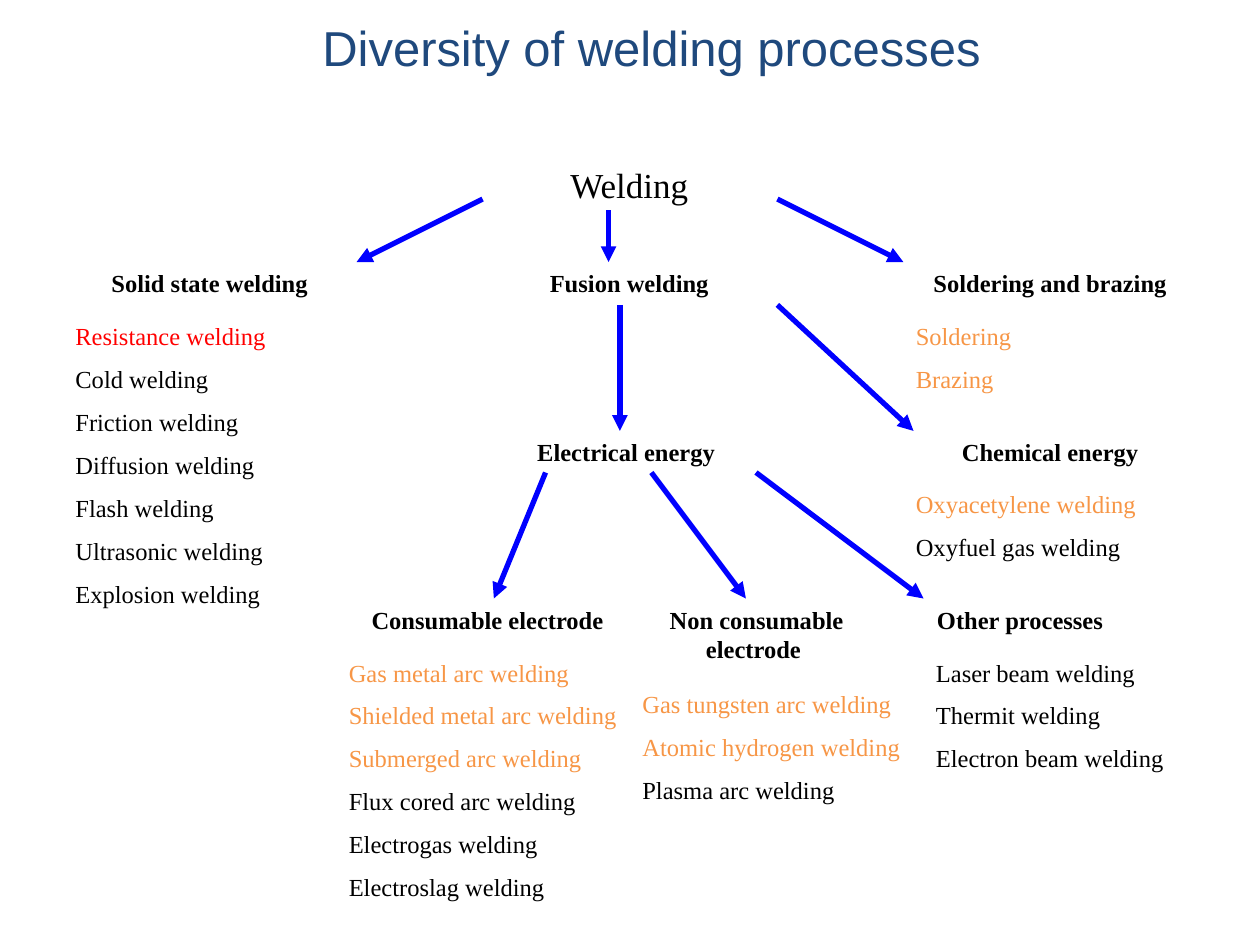
import pptx
import pptx.util
import pptx.dml.color
import pptx.enum.shapes
import pptx.enum.text
from dataclasses import dataclass
from lxml import etree
from pptx.oxml.ns import qn

Inches, Pt = pptx.util.Inches, pptx.util.Pt
RGB = pptx.dml.color.RGBColor
Align = pptx.enum.text.PP_ALIGN
Anchor = pptx.enum.text.MSO_ANCHOR

BLACK = RGB(0, 0, 0)
WHITE = RGB(255, 255, 255)
RED = RGB(255, 0, 0)
ORANGE = RGB(0xF7, 0x96, 0x46)
BLUE = RGB(0, 0, 255)
NAVY = RGB(0x1F, 0x49, 0x7D)
SERIF = "Times New Roman"
GAP = Pt(7.7)


@dataclass
class Head:
    text: str
    left: float
    top: float
    width: float = 2.33
    height: float = 0.34
    size: int = 14
    bold: bool = True


@dataclass
class Group:
    """A list whose first `marked` items take the colour `tint`."""
    left: float
    top: float
    items: list[str]
    marked: int = 0
    tint: RGB = ORANGE
    width: float = 2.33


@dataclass
class Arrow:
    x1: float
    y1: float
    x2: float
    y2: float


HEADS = [
    Head("Welding", 3.83, 1.25, height=0.44, size=20, bold=False),
    Head("Solid state welding", 0.5, 2.08),
    Head("Soldering and brazing", 7.17, 2.08),
    Head("Fusion welding", 3.83, 2.08),
    Head("Electrical energy ", 3.83, 3.42),
    Head("Chemical energy", 7.17, 3.42),
    Head("Other processes ", 7.33, 4.75, 1.58),
    Head("Non consumable electrode ", 5.17, 4.75, 1.67, 0.58),
    Head("Consumable electrode ", 2.83, 4.75, 2.08),
]
GROUPS = [
    Group(0.5, 2.5, ["Resistance welding", "Cold welding", "Friction welding",
                     "Diffusion welding", "Flash welding", "Ultrasonic welding",
                     "Explosion welding"], 1, RED, 1.71),
    Group(2.67, 5.17, ["Gas metal arc welding", "Shielded metal arc welding",
                       "Submerged arc welding", "Flux cored arc welding",
                       "Electrogas welding", "Electroslag welding"], 3),
    Group(5, 5.42, ["Gas tungsten arc welding", "Atomic hydrogen welding",
                    "Plasma arc welding"], 2),
    Group(7.17, 3.83, ["Oxyacetylene welding", "Oxyfuel gas welding"], 1),
    Group(7.33, 5.17, ["Laser beam welding", "Thermit welding",
                       "Electron beam welding"]),
    Group(7.17, 2.5, ["Soldering", "Brazing"], 2),
]
ARROWS = [
    Arrow(4.83, 1.67, 4.83, 2.08),
    Arrow(6.17, 1.58, 7.17, 2.08),
    Arrow(3.83, 1.58, 2.83, 2.08),
    Arrow(6.17, 2.42, 7.25, 3.42),
    Arrow(4.92, 2.42, 4.92, 3.42),
    Arrow(6, 3.75, 7.33, 4.75),
    Arrow(5.17, 3.75, 5.92, 4.75),
    Arrow(4.33, 3.75, 3.92, 4.75),
]


def style(para, color: RGB, size: float = 14, name: str = SERIF,
          bold: bool = False) -> None:
    form = {"size": Pt(size), "name": name, "bold": bold}
    for key, val in form.items():
        setattr(para.font, key, val)
    para.font.color.rgb = color


def add_title(slide, text: str) -> None:
    box = slide.shapes.add_textbox(Inches(0.92), 0, Inches(8.5), Inches(0.75))
    frame = box.text_frame
    frame.word_wrap = True
    frame.vertical_anchor = Anchor.MIDDLE
    para = frame.paragraphs[0]
    para.text = text
    para.alignment = Align.CENTER
    style(para, NAVY, 28, "Arial")


def add_head(slide, head: Head) -> None:
    box = slide.shapes.add_shape(
        pptx.enum.shapes.MSO_SHAPE.RECTANGLE, Inches(head.left),
        Inches(head.top), Inches(head.width), Inches(head.height))
    box.shadow.inherit = False
    box.fill.background()
    box.line.color.rgb = WHITE
    box.line.width = Pt(0.75)
    frame = box.text_frame
    frame.word_wrap = True
    frame.vertical_anchor = Anchor.TOP
    para = frame.paragraphs[0]
    para.text = head.text
    para.alignment = Align.CENTER
    style(para, BLACK, head.size, bold=head.bold)


def add_group(slide, group: Group) -> None:
    count = len(group.items)
    box = slide.shapes.add_textbox(
        Inches(group.left), Inches(group.top), Inches(group.width),
        Inches(0.34 * count + 0.02))
    frame = box.text_frame
    frame.word_wrap = True
    frame.margin_right = 0
    for num, item in enumerate(group.items):
        para = frame.add_paragraph() if num else frame.paragraphs[0]
        para.text = item
        if num:
            para.space_before = GAP
        style(para, group.tint if num < group.marked else BLACK)


def add_arrow(slide, arrow: Arrow) -> None:
    link = slide.shapes.add_connector(
        pptx.enum.shapes.MSO_CONNECTOR.STRAIGHT, Inches(arrow.x1),
        Inches(arrow.y1), Inches(arrow.x2), Inches(arrow.y2))
    link.line.color.rgb = BLUE
    link.line.width = Pt(3)
    etree.SubElement(link.line._get_or_add_ln(), qn("a:tailEnd"),
                     type="triangle")
    etree.SubElement(link._element.spPr, qn("a:effectLst"))


def main() -> None:
    deck = pptx.Presentation()
    deck.slide_width, deck.slide_height = Inches(10), Inches(7.5)
    slide = deck.slides.add_slide(deck.slide_layouts[6])
    add_title(slide, "Diversity of welding processes")
    for head in HEADS:
        add_head(slide, head)
    for group in GROUPS:
        add_group(slide, group)
    for arrow in ARROWS:
        add_arrow(slide, arrow)
    deck.save("out.pptx")


if __name__ == "__main__":
    main()
